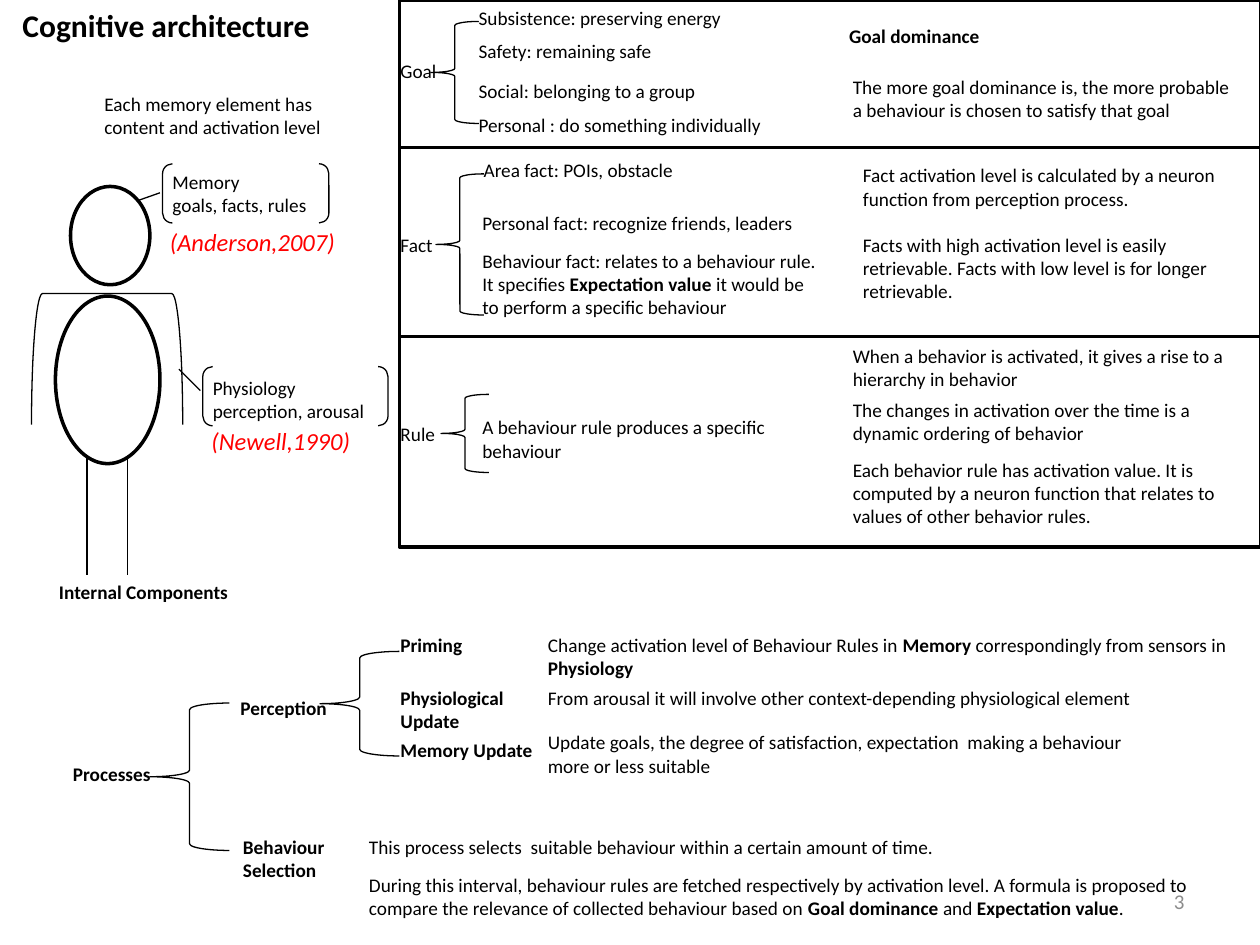
from pptx import Presentation
from pptx import util as u
from pptx.dml.color import RGBColor
from pptx.enum import shapes, text
from pptx.oxml.ns import qn
from lxml import etree

Inches = u.Inches
Preset = shapes.MSO_SHAPE


def colour(code):
    return RGBColor.from_string(code)


class Painter:
    font, size, ink = "Calibri", 11, "000000"
    thin, thick = 0.75, 2

    def __init__(self, page):
        self.page = page

    def outline(self, kind, left, top, width, height, weight=thin, fill=None, turn=0):
        shape = self.page.shapes.add_shape(
            kind, Inches(left), Inches(top), Inches(width), Inches(height))
        shape.shadow.inherit = False
        shape.rotation = turn
        if fill:
            shape.fill.solid()
            shape.fill.fore_color.rgb = colour(fill)
        else:
            shape.fill.background()
        shape.line.color.rgb = colour(self.ink)
        shape.line.width = u.Pt(weight)

    def brace(self, left, top, width, height):
        self.outline(Preset.LEFT_BRACE, left, top, width, height)

    def line(self, x1, y1, x2, y2):
        line = self.page.shapes.add_connector(
            shapes.MSO_CONNECTOR.STRAIGHT, Inches(x1), Inches(y1), Inches(x2), Inches(y2))
        line.line.color.rgb = colour(self.ink)
        line.line.width = u.Pt(self.thin)
        etree.SubElement(line._element.spPr, qn("a:effectLst"))

    def label(self, left, top, width, height, *lines, size=size, ink=ink, bold=False,
              italic=False, wrap=True, gap=0, align=text.PP_ALIGN.LEFT,
              anchor=text.MSO_ANCHOR.TOP):
        """One paragraph per line; words between asterisks are bold."""
        box = self.page.shapes.add_textbox(
            Inches(left), Inches(top), Inches(width), Inches(height))
        frame = box.text_frame
        frame.word_wrap = wrap
        frame.vertical_anchor = anchor
        for index, line in enumerate(lines):
            para = frame.add_paragraph() if index else frame.paragraphs[0]
            para.alignment = align
            if index:
                para.space_before = u.Pt(gap)
            for part, words in enumerate(line.split("*")):
                if not words:
                    continue
                span = para.add_run()
                span.text = words
                span.font.name = self.font
                span.font.size = u.Pt(size)
                span.font.bold = bold or part % 2 == 1
                span.font.italic = italic
                span.font.color.rgb = colour(ink)


def draw_person(p):
    # Arms, body, legs and head
    p.outline(Preset.LEFT_BRACKET, 0.33, 2.25, 1.04, 1.2, turn=90)
    p.outline(Preset.OVAL, 0.44, 2.35, 0.83, 1.33, p.thick, "FFFFFF")
    for x in (0.69, 1.01):
        p.line(x, 3.63, x, 4.56)
    p.outline(Preset.OVAL, 0.56, 1.48, 0.63, 0.78, p.thick)
    p.label(0.37, 4.56, 1.86, 0.29, "Internal Components", bold=True)

    # Memory and physiology call-outs
    p.label(0.73, 0.68, 2.21, 0.47, "Each memory element has", "content and activation level")
    p.label(1.27, 1.3, 1.56, 0.47, "Memory", "goals, facts, rules")
    p.line(1.1, 1.59, 1.27, 1.53)
    p.outline(Preset.DOUBLE_BRACKET, 1.29, 1.3, 1.32, 0.47)
    p.label(1.59, 2.94, 1.49, 0.47, "Physiology", "perception, arousal")
    p.line(1.42, 2.93, 1.59, 3.1)
    p.outline(Preset.DOUBLE_BRACKET, 1.61, 2.91, 1.47, 0.47)
    for left, top, width, source in ((1.25, 1.75, 1.56, "(Anderson,2007)"),
                                     (1.58, 3.33, 1.36, "(Newell,1990)")):
        p.label(left, top, width, 0.34, source, size=14, ink="FF0000", italic=True, wrap=False)


def draw_memory(p):
    # Frames, stacked from the top edge
    top = 0
    for height in (1.17, 1.5, 1.67):
        p.outline(Preset.RECTANGLE, 3.17, top, 6.84, height, p.thick)
        top += height

    # Names and braces
    for name, top, width in (("Goal", 0.42, 0.5), ("Fact", 1.8, 0.5), ("Rule", 3.3, 0.67)):
        p.label(3.08, top, width, 0.29, name)
    for left, top, height in ((3.42, 0.17, 0.81), (3.46, 1.38, 1.12), (3.5, 3.13, 0.62)):
        p.brace(left, top, 0.38, height)

    # Kinds of goal, fact and rule
    for left, top, width, item in (
            (3.7, 0, 2.14, "Subsistence: preserving energy"),
            (3.7, 0.26, 1.59, "Safety: remaining safe"),
            (3.7, 0.58, 1.93, "Social: belonging to a group"),
            (3.7, 0.85, 2.46, "Personal : do something individually"),
            (3.74, 1.21, 1.76, "Area fact: POIs, obstacle"),
            (3.73, 1.63, 2.73, "Personal fact: recognize friends, leaders")):
        p.label(left, top, width, 0.29, item, wrap=False)
    p.label(3.73, 1.93, 2.86, 0.66,
            "Behaviour fact: relates to a behaviour rule. It specifies "
            "*Expectation value *it would be to perform a specific behaviour")
    p.label(3.73, 3.25, 2.86, 0.47, "A behaviour rule produces a specific behaviour")

    # Explanations
    p.label(6.64, 0.14, 2.11, 0.29, "Goal dominance", bold=True)
    p.label(6.75, 1.25, 3.25, 1.21,
            "Fact activation level is calculated by a neuron function from perception process.",
            "Facts with high activation level is easily retrievable. "
            "Facts with low level is for longer retrievable.", gap=13.4)
    for top, height, note in (
            (0.55, 0.47, "The more goal dominance is, the more probable "
                         "a behaviour is chosen to satisfy that goal"),
            (2.68, 0.47, "When a behavior is activated, it gives a rise to a "
                         "hierarchy in behavior"),
            (3.11, 0.47, "The changes in activation over the time is a "
                         "dynamic ordering of behavior"),
            (3.59, 0.66, "Each behavior rule has activation value. It is computed by a "
                         "neuron function that relates to values of other behavior rules.")):
        p.label(6.67, top, 3.25, height, note)


def draw_processes(p):
    # Tree
    p.brace(1.19, 5.58, 0.63, 1.17)
    p.brace(2.54, 5.17, 0.63, 0.83)
    for left, top, width, height, name in (
            (0.48, 6, 0.94, 0.29, "Processes"),
            (1.81, 5.48, 0.94, 0.29, "Perception"),
            (1.83, 6.58, 1.33, 0.47, "Behaviour Selection"),
            (3.08, 4.98, 0.94, 0.29, "Priming"),
            (3.08, 5.4, 1.43, 0.47, "Physiological Update"),
            (3.08, 5.81, 1.43, 0.29, "Memory Update")):
        p.label(left, top, width, height, name, bold=True)

    # Descriptions
    for left, top, width, height, note in (
            (4.25, 4.98, 5.75, 0.47,
             "Change activation level of Behaviour Rules in *Memory* "
             "correspondingly from sensors in *Physiology*"),
            (4.25, 5.4, 5, 0.29,
             "From arousal it will involve other context-depending physiological element"),
            (4.25, 5.75, 5, 0.47,
             "Update goals, the degree of satisfaction, expectation  making a behaviour "
             "more or less suitable"),
            (2.83, 6.58, 5.25, 0.29,
             "This process selects  suitable behaviour within a certain amount of time."),
            (2.83, 6.88, 6.83, 0.47,
             "During this interval, behaviour rules are fetched respectively by activation "
             "level. A formula is proposed to compare the relevance of collected behaviour "
             "based on *Goal dominance* and *Expectation value*.")):
        p.label(left, top, width, height, note)


def main():
    deck = Presentation()
    deck.slide_width, deck.slide_height = Inches(10), Inches(7.5)
    painter = Painter(deck.slides.add_slide(deck.slide_layouts[6]))
    draw_person(painter)
    draw_memory(painter)
    draw_processes(painter)

    # Title and page number
    painter.label(0.08, 0, 2.56, 0.4, "Cognitive architecture", size=18, bold=True, wrap=False)
    painter.label(7.17, 6.95, 2.33, 0.4, "3", size=12, ink="8C8C8C",
                  align=text.PP_ALIGN.RIGHT, anchor=text.MSO_ANCHOR.MIDDLE)
    deck.save("out.pptx")


if __name__ == "__main__":
    main()
